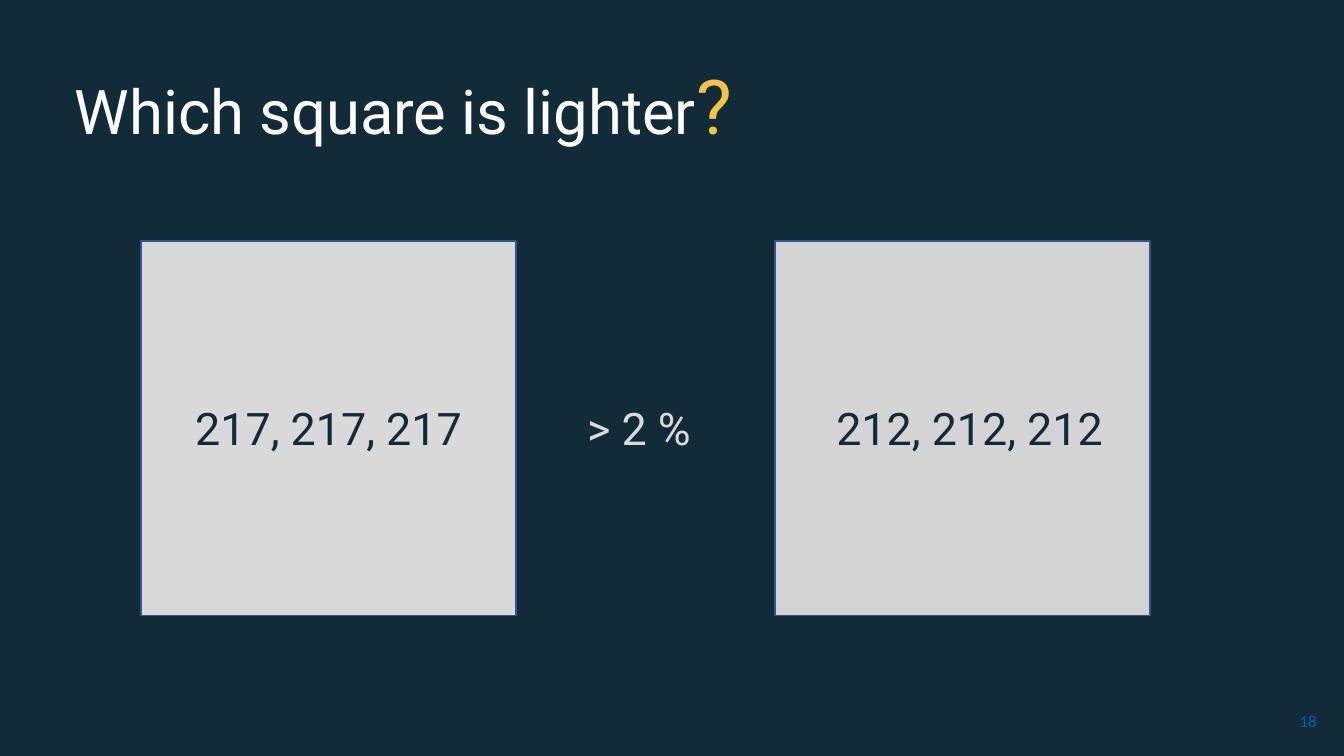
from dataclasses import dataclass

from pptx import Presentation
from pptx.dml.color import RGBColor
from pptx.enum.shapes import MSO_SHAPE
from pptx.enum.text import MSO_ANCHOR, PP_ALIGN
from pptx.util import Pt

RECTANGLE = MSO_SHAPE.RECTANGLE
TOP, MIDDLE = MSO_ANCHOR.TOP, MSO_ANCHOR.MIDDLE
CENTER, RIGHT = PP_ALIGN.CENTER, PP_ALIGN.RIGHT
TITLE_ONLY = 5


@dataclass(frozen=True)
class Theme:
    font: str = "Roboto"
    number_font: str = "Calibri"
    background: str = "122B39"
    title: str = "FFFFFF"
    accent: str = "F4C245"
    outline: str = "325491"
    left_gray: str = "D9D9D9"
    right_gray: str = "D4D4D4"
    page_number: str = "0063AF"
    title_size: int = 44
    accent_size: int = 54
    label_size: int = 32
    number_size: int = 12


THEME = Theme()
SQUARE_TOP, SQUARE_SIDE = 172.1, 267.8
LABEL_TOP, LABEL_WIDTH, LABEL_HEIGHT = 283, 213.1, 46.1


def paint(fill, color):
    fill.solid()
    fill.fore_color.rgb = RGBColor.from_string(color)


def add_run(paragraph, text, size, color, font=THEME.font):
    run = paragraph.add_run()
    run.text = text
    for name, value in {"size": Pt(size), "name": font}.items():
        setattr(run.font, name, value)
    run.font.color.rgb = RGBColor.from_string(color)


def set_title(slide, text, accent):
    title = slide.shapes.title
    box = {"left": 46.1, "top": 26.6, "width": 828, "height": 104.4}
    for name, value in box.items():
        setattr(title, name, Pt(value))
    paint(title.fill, THEME.background)
    title.text_frame.vertical_anchor = MIDDLE
    paragraph = title.text_frame.paragraphs[0]
    paragraph.alignment = PP_ALIGN.LEFT
    paragraph.line_spacing = 0.9
    add_run(paragraph, text, THEME.title_size, THEME.title)
    add_run(paragraph, accent, THEME.accent_size, THEME.accent)


def add_square(slide, left, color):
    square = slide.shapes.add_shape(
        RECTANGLE, Pt(left), Pt(SQUARE_TOP), Pt(SQUARE_SIDE), Pt(SQUARE_SIDE))
    square.shadow.inherit = False
    paint(square.fill, color)
    paint(square.line.fill, THEME.outline)
    square.line.width = Pt(1)


def add_text(slide, text, box, size, color, font=THEME.font,
             alignment=CENTER, anchor=TOP):
    frame = slide.shapes.add_textbox(*map(Pt, box)).text_frame
    for name, value in {"word_wrap": True, "vertical_anchor": anchor}.items():
        setattr(frame, name, value)
    paragraph = frame.paragraphs[0]
    paragraph.alignment = alignment
    add_run(paragraph, text, size, color, font)


def main():
    presentation = Presentation()
    presentation.slide_width, presentation.slide_height = Pt(960), Pt(540)
    slide = presentation.slides.add_slide(presentation.slide_layouts[TITLE_ONLY])
    paint(slide.background.fill, THEME.background)

    set_title(slide, "Which square is lighter", "?")
    add_text(slide, "18", (738.7, 500.4, 208.8, 28.8), THEME.number_size,
             THEME.page_number, THEME.number_font, RIGHT, MIDDLE)

    for left, color in ((100.8, THEME.left_gray), (553.7, THEME.right_gray)):
        add_square(slide, left, color)

    labels = (
        ("217, 217, 217", 128.2, THEME.background),
        ("212, 212, 212", 586.1, THEME.background),
        ("> 2 %", 349.9, THEME.left_gray),
    )
    for text, left, color in labels:
        box = (left, LABEL_TOP, LABEL_WIDTH, LABEL_HEIGHT)
        add_text(slide, text, box, THEME.label_size, color)

    presentation.save("out.pptx")


if __name__ == "__main__":
    main()
